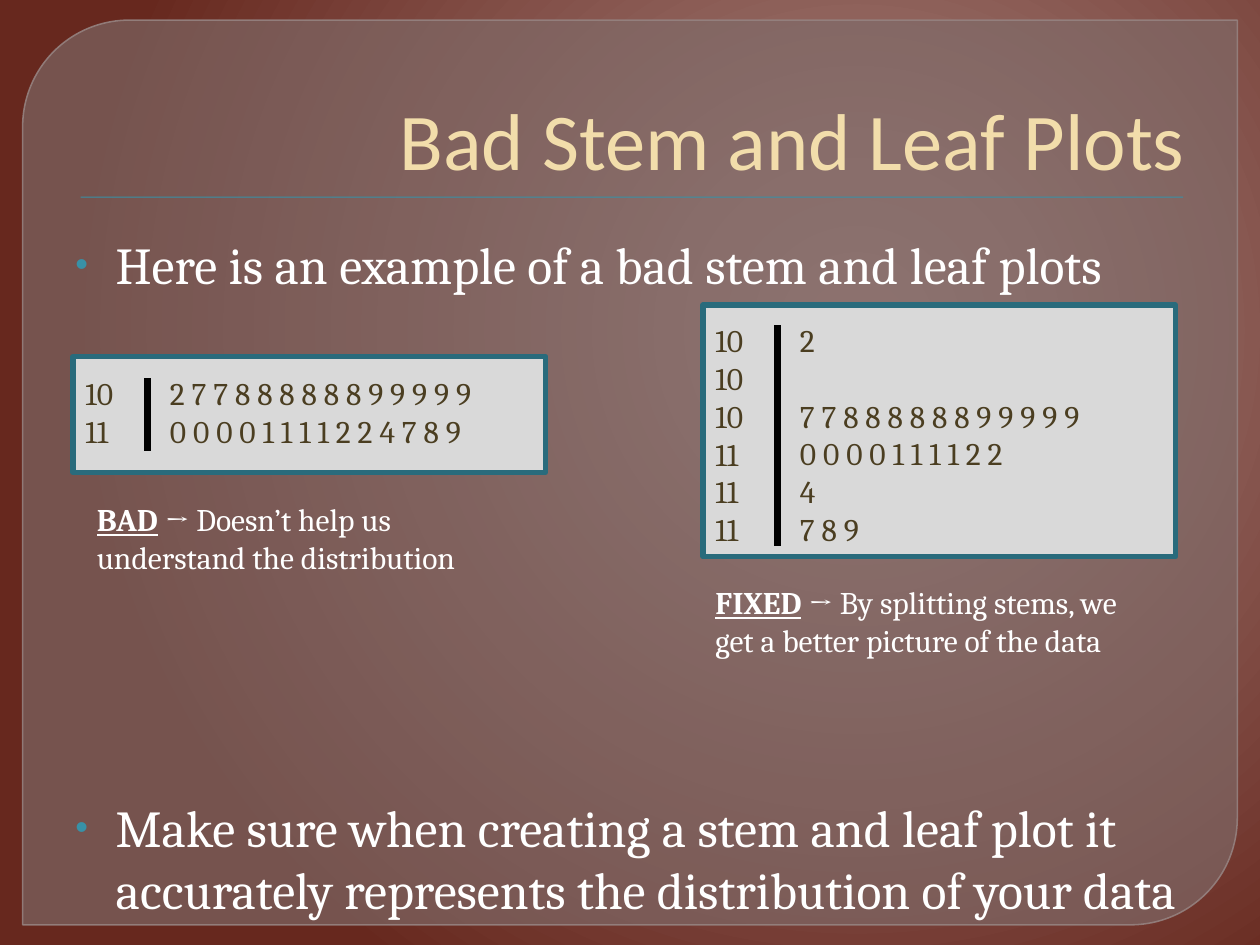
from pptx import Presentation
from pptx.dml.color import RGBColor
from pptx.enum.shapes import MSO_CONNECTOR, MSO_SHAPE
from pptx.enum.text import MSO_ANCHOR, PP_ALIGN
from pptx.oxml import parse_xml
from pptx.oxml.ns import nsdecls
from pptx.util import Inches, Pt
from lxml import etree

DIAGONAL, RECT = MSO_SHAPE.ROUND_2_DIAG_RECTANGLE, MSO_SHAPE.RECTANGLE
STRAIGHT = MSO_CONNECTOR.STRAIGHT
BOTTOM, RIGHT = MSO_ANCHOR.BOTTOM, PP_ALIGN.RIGHT
NS = nsdecls("a")
rgb = RGBColor.from_string
TEAL, BROWN, WHITE = "3891A7", "4B3E21", "FFFFFF"
ROW_HEIGHT = 21.5


def add_box(shapes, kind, box, fill, line=None, width=1):
    sp = shapes.add_shape(kind, *map(Inches, box))
    sp.shadow.inherit = False
    sp.fill.solid()
    sp.fill.fore_color.rgb = rgb(fill)
    if line:
        sp.line.color.rgb = rgb(line)
        sp.line.width = Pt(width)
    else:
        sp.line.fill.background()
    return sp


def add_text(shapes, box, paragraphs, size, color):
    """Each paragraph is (space before in points, [(text, font attributes)])."""
    tf = shapes.add_textbox(*map(Inches, box)).text_frame
    tf.word_wrap = True
    for i, (space, runs) in enumerate(paragraphs):
        p = tf.add_paragraph() if i else tf.paragraphs[0]
        p.space_before = Pt(space)
        for text, style in runs:
            for j, part in enumerate(text.split("\n")):
                if j:
                    p.add_line_break()
                r = p.add_run()
                r.text = part
                r.font.color.rgb = rgb(color)
                for name, value in {"name": "Cambria", "size": Pt(size), **style}.items():
                    setattr(r.font, name, value)
    return tf


prs = Presentation()
prs.slide_width, prs.slide_height = Inches(10), Inches(7.5)
s = prs.slides.add_slide(prs.slide_layouts[5])

# Background: radial gradient
s.background.fill.gradient()
grad = s._element.xpath(".//a:gradFill")[0]
stops = "".join(f'<a:gs pos="{pos}000"><a:srgbClr val="{color}"/></a:gs>'
                for pos, color in [(0, "A7827D"), (20, "9C7570"), (100, "67281E")])
grad.getparent().replace(grad, parse_xml(
    f'<a:gradFill {NS} rotWithShape="1"><a:gsLst>{stops}</a:gsLst><a:path path="circle">'
    '<a:fillToRect l="68000" t="35000" r="32000" b="65000"/></a:path></a:gradFill>'))

# Translucent panel and title rule
panel = add_box(s.shapes, DIAGONAL, (0.18, 0.16, 9.64, 7.18), "7F6B69", "968381", 0.87)
panel.adjustments[0], panel.adjustments[1] = 0.118, 0
for color, alpha in zip(panel._element.spPr.iter("{*}srgbClr"), (65, 88)):
    color.append(parse_xml(f'<a:alpha {NS} val="{alpha}000"/>'))
add_box(s.shapes, RECT, (0.64, 1.56, 8.75, 0.01), TEAL)

# Title, moved in front of the panel
title = s.shapes.title
s.shapes._spTree.append(title._element)
title.left, title.top, title.width, title.height = map(Inches, (0.5, 0.28, 9, 1.25))
title.text_frame.text = "Bad Stem and Leaf Plots"
title.text_frame.vertical_anchor = BOTTOM
p = title.text_frame.paragraphs[0]
p.alignment = RIGHT
for name, value in {"name": "Calibri", "size": Pt(46)}.items():
    setattr(p.runs[0].font, name, value)
p.runs[0].font.color.rgb = rgb("F2DDAB")

# Bulleted points, one above and one below the plots
points = [
    (0, [("Here is an example of a bad stem and leaf plots", {})]),
    (286, [("Make sure when creating a stem and leaf plot it accurately "
            "represents the distribution of your data", {})]),
]
body = add_text(s.shapes, (0.5, 1.8, 9, 4.95), points, 29.6, WHITE)
for p in body.paragraphs:
    pPr = p._p.get_or_add_pPr()
    pPr.set("marL", str(Inches(0.32)))
    pPr.set("indent", str(Inches(-0.32)))
    for xml in (f'<a:buClr {NS}><a:srgbClr val="{TEAL}"/></a:buClr>',
                f'<a:buSzPct {NS} val="70000"/>',
                f'<a:buFont {NS} typeface="Arial"/>',
                f'<a:buChar {NS} char="•"/>'):
        pPr.append(parse_xml(xml))

# Stem and leaf plots: top, height, divider top and bottom, text top, rows
plots = [
    (0.58, 2.83, 0.92, 3, 3.58, 2.92,
     [("10", "2 7 7 8 8 8 8 8 8 9 9 9 9 9"), ("11", "0 0 0 0 1 1 1 1 2 2 4 7 8 9")]),
    (5.58, 2.42, 2, 2.58, 4.33, 2.5,
     [("10", "2"), ("10", ""), ("10", "7 7 8 8 8 8 8 8 9 9 9 9 9"),
      ("11", "0 0 0 0 1 1 1 1 2 2"), ("11", "4"), ("11", "7 8 9")]),
]
for left, top, height, line_top, line_bottom, text_top, rows in plots:
    shapes = s.shapes.add_group_shape().shapes
    add_box(shapes, RECT, (left, top, 3.75, height), "D9D9D9", "296B7C", 3)
    x = left + 0.59
    divider = shapes.add_connector(STRAIGHT, *map(Inches, (x, line_top, x, line_bottom)))
    divider.line.color.rgb = rgb("000000")
    divider.line.width = Pt(4)
    etree.SubElement(divider._element.spPr,
                     "{http://schemas.openxmlformats.org/drawingml/2006/main}effectLst")
    for column, (dx, width) in enumerate([(0, 0.5), (0.67, 3.08)]):
        paragraphs, gap = [], 0
        for row in rows:
            if row[column]:
                paragraphs.append((gap, [(row[column], {})]))
                gap = 0
            else:
                gap += ROW_HEIGHT
        text_height = 0.1 + len(rows) * 0.3
        add_text(shapes, (left + dx, text_top, width, text_height), paragraphs, 18, BROWN)

# Captions
captions = [
    (0.67, 3.92, "BAD", " → Doesn’t help us\nunderstand the distribution"),
    (5.58, 4.58, "FIXED", " → By splitting stems, we get a better picture of the data"),
]
for left, top, label, text in captions:
    runs = [(label, {"bold": True, "underline": True}), (text, {})]
    add_text(s.shapes, (left, top, 3.58, 0.71), [(0, runs)], 18, WHITE)

prs.save("out.pptx")
